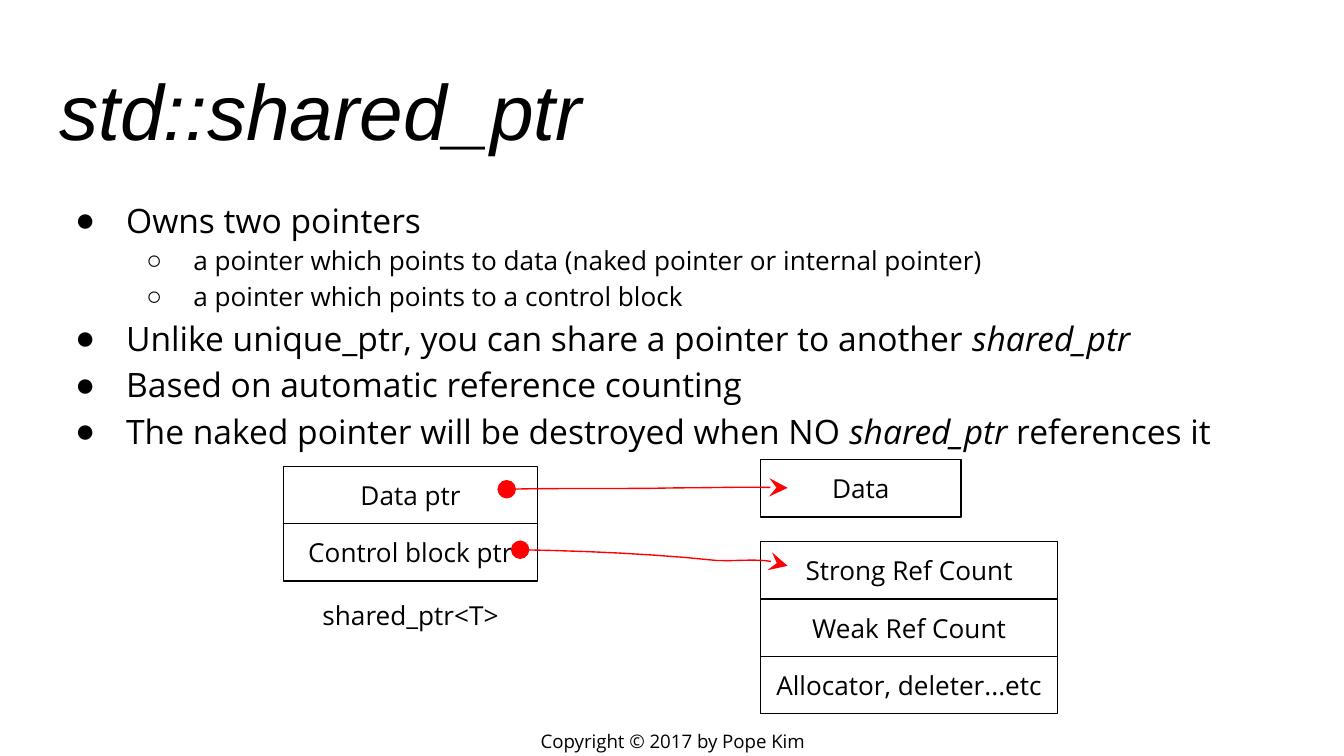
from lxml import etree
from pptx import Presentation
from pptx.dml.color import RGBColor
from pptx.enum.shapes import MSO_SHAPE
from pptx.enum.text import MSO_ANCHOR, MSO_AUTO_SIZE, PP_ALIGN
from pptx.oxml.ns import qn
from pptx.util import Inches, Pt

COLORS = {"ink": "000000", "pointer": "FF0000", "paper": "FFFFFF"}
FONT = "Open Sans"
TITLE_FONT = "Arial"
BULLET_FONT = "Arial"
SLIDE_WIDTH = 10
SLIDE_HEIGHT = SLIDE_WIDTH * 9 / 16
ROW_HEIGHT = 1.28 / 3
CURVE_STEPS = 6

LEVELS = [
    {"size": 18, "bullet": "●", "margin": 0.5, "indent": -0.38},
    {"size": 14, "bullet": "○", "margin": 1, "indent": -0.35},
]
POINTS = [
    (0, [("Owns two pointers", False)]),
    (1, [("a pointer which points to data (naked pointer or internal pointer)", False)]),
    (1, [("a pointer which points to a control block", False)]),
    (0, [("Unlike unique_ptr, you can share a pointer to another ", False), ("shared_ptr", True)]),
    (0, [("Based on automatic reference counting", False)]),
    (0, [("The naked pointer will be destroyed when NO ", False), ("shared_ptr", True),
         (" references it", False)]),
]


def color(name):
    return RGBColor.from_string(COLORS[name])


def format_run(span, size, font=FONT, italic=False):
    span.font.size = Pt(size)
    span.font.name = font
    span.font.italic = italic
    span.font.color.rgb = color("ink")


def prepare_frame(frame, anchor):
    frame.word_wrap = True
    frame.auto_size = MSO_AUTO_SIZE.NONE
    frame.vertical_anchor = anchor
    frame.margin_left = frame.margin_right = Inches(0.1)
    frame.margin_top = frame.margin_bottom = Inches(0.1)


def set_centered_text(box, text, size):
    prepare_frame(box.text_frame, MSO_ANCHOR.MIDDLE)
    box.text_frame.text = text
    para = box.text_frame.paragraphs[0]
    para.alignment = PP_ALIGN.CENTER
    format_run(para.runs[0], size)


def add_label(page, text, size, left, top, width, height):
    box = page.shapes.add_textbox(Inches(left), Inches(top), Inches(width), Inches(height))
    set_centered_text(box, text, size)


def add_title(page, text, left, top, width, height):
    title = page.shapes.title
    title.left, title.top = Inches(left), Inches(top)
    title.width, title.height = Inches(width), Inches(height)
    prepare_frame(title.text_frame, MSO_ANCHOR.BOTTOM)
    title.text_frame.text = text
    para = title.text_frame.paragraphs[0]
    para.alignment = PP_ALIGN.LEFT
    format_run(para.runs[0], 42, TITLE_FONT, italic=True)


def add_bullet(para, level):
    props = para._p.get_or_add_pPr()
    props.set("marL", str(Inches(level["margin"])))
    props.set("indent", str(Inches(level["indent"])))
    bullet_color = etree.SubElement(props, qn("a:buClr"))
    etree.SubElement(bullet_color, qn("a:srgbClr"), val=COLORS["ink"])
    etree.SubElement(props, qn("a:buFont"), typeface=BULLET_FONT)
    etree.SubElement(props, qn("a:buChar"), char=level["bullet"])


def add_points(page, points, left, top, width, height):
    box = page.shapes.add_textbox(Inches(left), Inches(top), Inches(width), Inches(height))
    frame = box.text_frame
    prepare_frame(frame, MSO_ANCHOR.TOP)
    for index, (depth, parts) in enumerate(points):
        para = frame.add_paragraph() if index else frame.paragraphs[0]
        level = LEVELS[depth]
        para.level = depth
        para.line_spacing = 1.15
        para.space_after = Pt(16 if index == len(points) - 1 else 0)
        add_bullet(para, level)
        for text, italic in parts:
            span = para.add_run()
            span.text = text
            format_run(span, level["size"], italic=italic)


def add_memory_block(page, fields, left, top, width):
    for index, field in enumerate(fields):
        cell = page.shapes.add_shape(
            MSO_SHAPE.RECTANGLE, Inches(left), Inches(top + index * ROW_HEIGHT),
            Inches(width), Inches(ROW_HEIGHT))
        cell.shadow.inherit = False
        cell.fill.background()
        cell.line.color.rgb = color("ink")
        cell.line.width = Pt(0.75)
        set_centered_text(cell, field, 14)


def curve_point(corners, t):
    weights = ((1 - t) ** 3, 3 * t * (1 - t) ** 2, 3 * t ** 2 * (1 - t), t ** 3)
    return tuple(
        Inches(sum(weight * corner[axis] for weight, corner in zip(weights, corners)))
        for axis in (0, 1))


def add_pointer(page, start, curves):
    builder = page.shapes.build_freeform(Inches(start[0]), Inches(start[1]))
    for curve in curves:
        corners = [start, *curve]
        builder.add_line_segments(
            [curve_point(corners, step / CURVE_STEPS) for step in range(1, CURVE_STEPS + 1)],
            close=False)
        start = curve[-1]
    pointer = builder.convert_to_shape()
    pointer.shadow.inherit = False
    pointer.fill.background()
    pointer.line.color.rgb = color("pointer")
    pointer.line.width = Pt(0.75)
    line = pointer.line._get_or_add_ln()
    etree.SubElement(line, qn("a:round"))
    for end, kind in (("a:headEnd", "oval"), ("a:tailEnd", "stealth")):
        etree.SubElement(line, qn(end), type=kind, w="lg", len="lg")


def add_diagram(page, left, top):
    add_memory_block(page, ["Data ptr", "Control block ptr"], left, top + 0.05, 1.89)

    target_left = left + 3.55
    add_memory_block(page, ["Data"], target_left, top, 1.49)
    add_memory_block(
        page, ["Strong Ref Count", "Weak Ref Count", "Allocator, deleter...etc"],
        target_left, top + 0.61, 2.21)

    tip = left + 3.75
    add_pointer(page, (left + 1.66, top + 0.22), [
        [(left + 2.08, top + 0.21), (left + 2.51, top + 0.22), (left + 2.94, top + 0.21)],
        [(left + 3.21, top + 0.21), (left + 3.48, top + 0.2), (tip, top + 0.21)],
    ])
    add_pointer(page, (left + 1.76, top + 0.67), [
        [(left + 2.25, top + 0.68), (left + 2.74, top + 0.7), (left + 3.22, top + 0.75)],
        [(left + 3.4, top + 0.76), (left + 3.59, top + 0.72), (tip, top + 0.79)],
    ])
    add_label(page, "shared_ptr<T>", 14, left - 0.13, top + 0.98, 2.15, 0.35)


def main():
    deck = Presentation()
    deck.slide_width, deck.slide_height = Inches(SLIDE_WIDTH), Inches(SLIDE_HEIGHT)
    page = deck.slides.add_slide(deck.slide_layouts[5])
    page.background.fill.solid()
    page.background.fill.fore_color.rgb = color("paper")

    add_label(page, "Copyright © 2017 by Pope Kim", 10, 3.77, 5.41, 2.47, 0.21)
    add_title(page, "std::shared_ptr", 0.34, 0.35, 9.32, 0.91)
    add_points(page, POINTS, 0.34, 1.34, 9.32, 2)
    add_diagram(page, 2.11, 3.42)
    deck.save("out.pptx")


if __name__ == "__main__":
    main()
